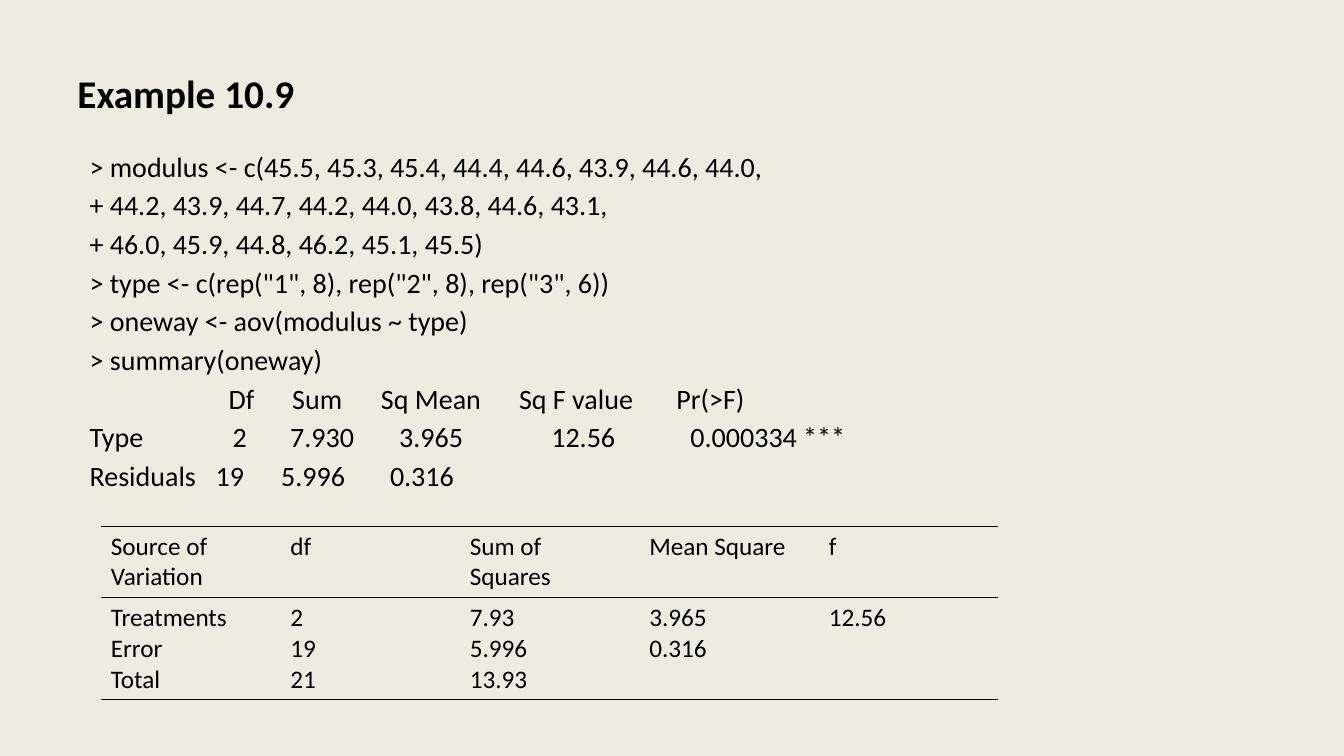
from lxml import etree
from pptx import Presentation
from pptx.dml.color import RGBColor
from pptx.enum.text import MSO_ANCHOR as Anchor
from pptx.oxml.ns import qn
from pptx.util import Inches, Pt

BLACK = RGBColor(0x00, 0x00, 0x00)
CREAM = RGBColor(0xEE, 0xEC, 0xE1)
FONT = "Calibri"

CODE = [
    "> modulus <- c(45.5, 45.3, 45.4, 44.4, 44.6, 43.9, 44.6, 44.0,",
    "+ 44.2, 43.9, 44.7, 44.2, 44.0, 43.8, 44.6, 43.1,",
    "+ 46.0, 45.9, 44.8, 46.2, 45.1, 45.5)",
    '> type <- c(rep("1", 8), rep("2", 8), rep("3", 6))',
    "> oneway <- aov(modulus ~ type)",
    "> summary(oneway)",
]
# Each printed row has its own tab stops, in inches
SUMMARY = [
    ("\tDf\tSum\tSq Mean\tSq F value\tPr(>F)", (1.38, 2.01, 2.89, 4.26, 5.82)),
    ("Type\t2\t7.930\t3.965\t12.56\t0.000334 ***", (1.42, 1.99, 3.07, 4.58, 5.96)),
    ("Residuals\t19\t5.996\t0.316", (1.25, 1.9, 2.98)),
]
ANOVA = [
    ["Source of\nVariation", "df", "Sum of\nSquares", "Mean Square", "f"],
    ["Treatments\nError\nTotal", "2\n19\n21", "7.93\n5.996\n13.93",
     "3.965\n0.316", "12.56"],
]
ROW_HEIGHTS = (0.71, 1.01)
COLUMN_WIDTH = 1.78


def style_text(frame, size, bold=False):
    for paragraph in frame.paragraphs:
        for run in paragraph.runs:
            font = run.font
            font.name, font.size, font.bold = FONT, Pt(size), bold
            font.color.rgb = BLACK


def add_text_frame(slide, left, top, width, height):
    frame = slide.shapes.add_textbox(
        Inches(left), Inches(top), Inches(width), Inches(height)).text_frame
    frame.word_wrap = True
    return frame


def set_tab_stops(paragraph, stops):
    tabs = etree.SubElement(paragraph._p.get_or_add_pPr(), qn("a:tabLst"))
    for stop in stops:
        etree.SubElement(tabs, qn("a:tab"), pos=str(Inches(stop)), algn="l")


def add_title(slide):
    frame = add_text_frame(slide, 0.67, 0.3, 12, 1.25)
    frame.vertical_anchor = Anchor.MIDDLE
    frame.text = "Example 10.9"
    style_text(frame, 28, bold=True)


def add_session(slide):
    frame = add_text_frame(slide, 0.79, 1.43, 12.07, 5.49)
    frame.text = "\n".join(CODE + [line for line, _ in SUMMARY])
    for paragraph in frame.paragraphs[1:]:
        paragraph.space_before = Pt(3.6)
    for paragraph, (_, stops) in zip(frame.paragraphs[len(CODE):], SUMMARY):
        set_tab_stops(paragraph, stops)
    style_text(frame, 20)


def rule_cell(cell):
    """Draw black rules above and below the cell, none at its sides."""
    properties = cell._tc.get_or_add_tcPr()
    for position, side in enumerate(("lnL", "lnR", "lnT", "lnB")):
        line = etree.Element(qn(f"a:{side}"), w=str(Pt(1)))
        if side in ("lnT", "lnB"):
            fill = etree.SubElement(line, qn("a:solidFill"))
            etree.SubElement(fill, qn("a:srgbClr"), val=str(BLACK))
        else:
            etree.SubElement(line, qn("a:noFill"))
        properties.insert(position, line)


def add_anova_table(slide):
    columns = len(ANOVA[0])
    table = slide.shapes.add_table(
        len(ANOVA), columns, Inches(1), Inches(5.22),
        Inches(COLUMN_WIDTH * columns), Inches(sum(ROW_HEIGHTS))).table
    table.first_row = table.horz_banding = False
    for column in table.columns:
        column.width = Inches(COLUMN_WIDTH)
    for r, (values, height) in enumerate(zip(ANOVA, ROW_HEIGHTS)):
        table.rows[r].height = Inches(height)
        for c, value in enumerate(values):
            cell = table.cell(r, c)
            cell.text_frame.text = value
            style_text(cell.text_frame, 18)
            cell.fill.background()
            rule_cell(cell)


def main():
    deck = Presentation()
    deck.slide_width, deck.slide_height = Inches(13.33), Inches(7.5)
    slide = deck.slides.add_slide(deck.slide_layouts[6])

    # Background
    slide.background.fill.solid()
    slide.background.fill.fore_color.rgb = CREAM

    # Heading, R session and ANOVA table
    add_title(slide)
    add_session(slide)
    add_anova_table(slide)
    deck.save("out.pptx")


if __name__ == "__main__":
    main()
